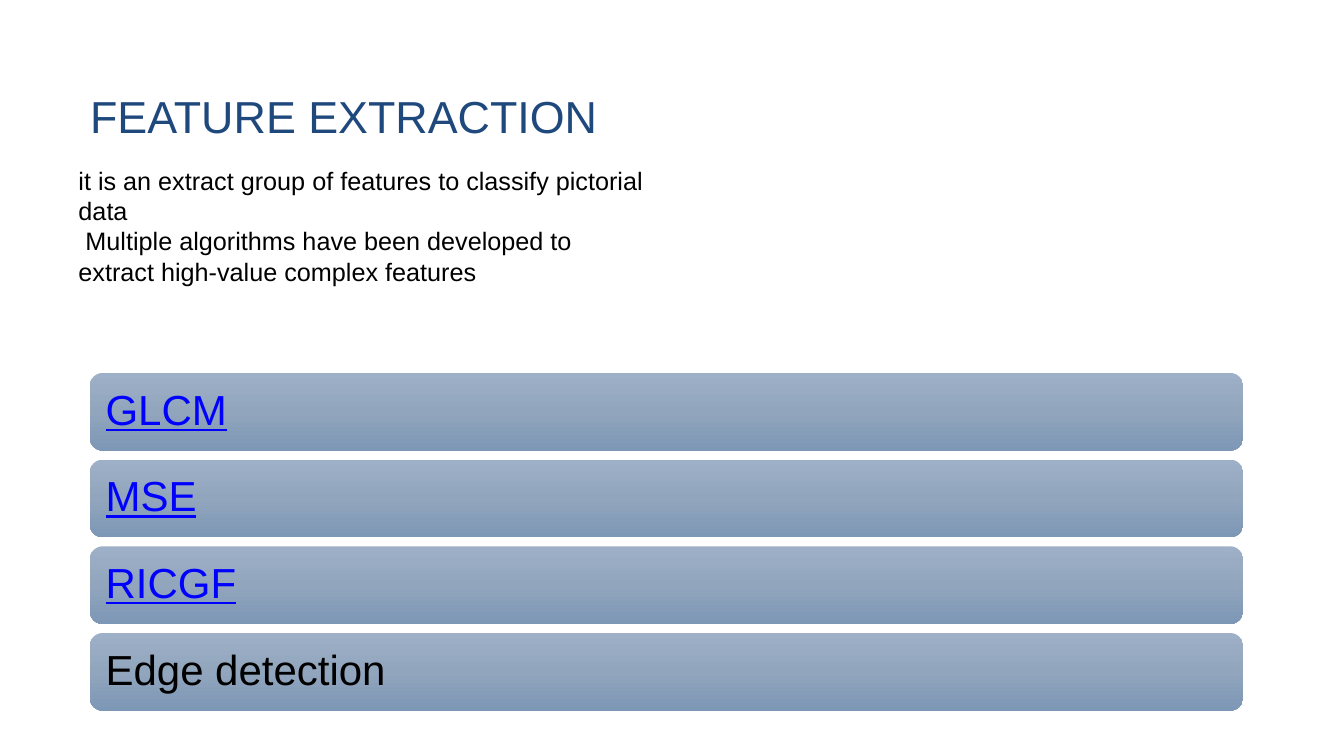
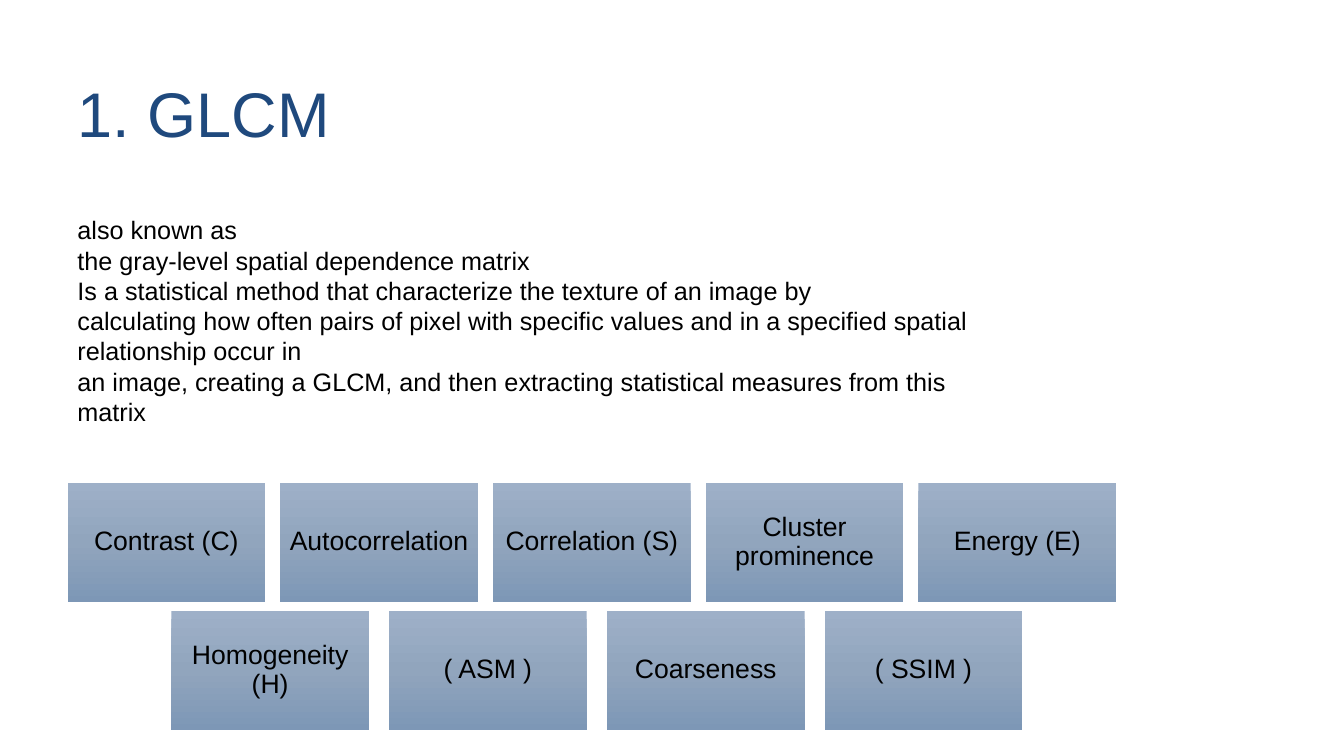
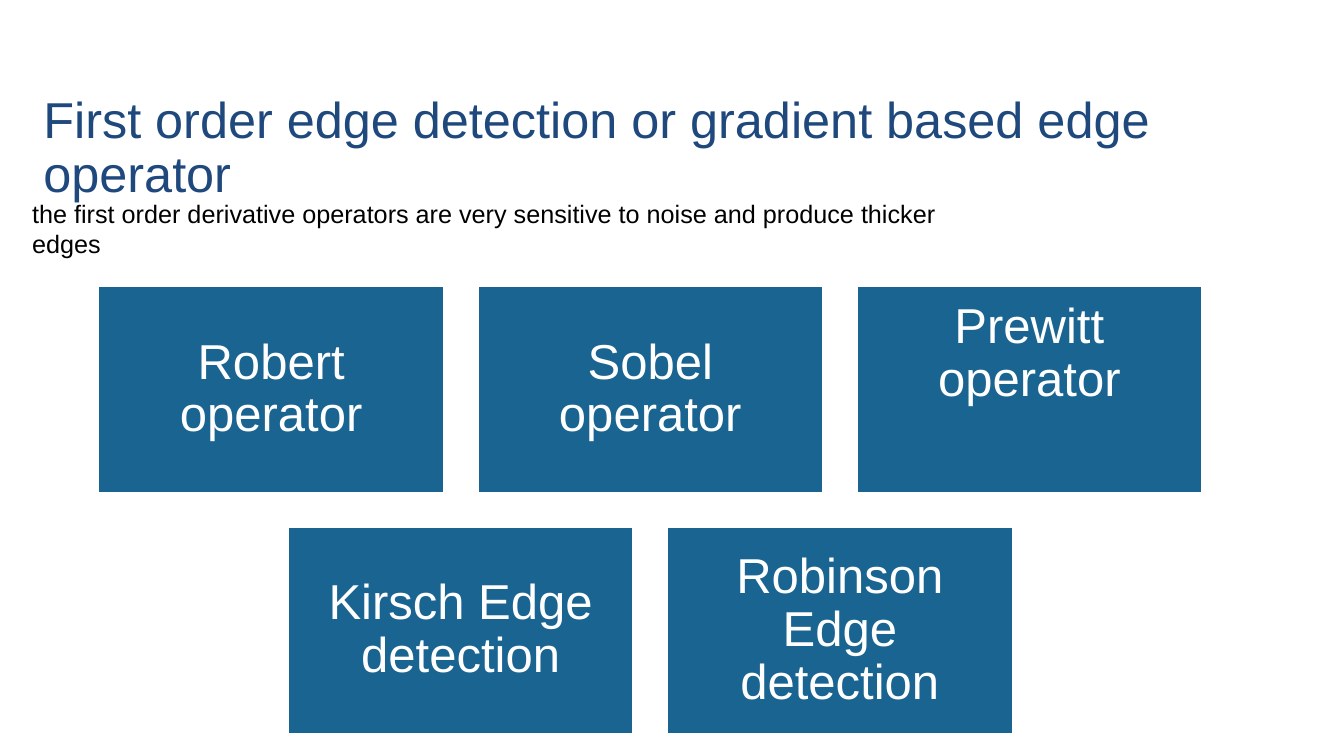
from copy import deepcopy

from pptx import Presentation
from pptx.dml.color import RGBColor
from pptx.enum.shapes import MSO_SHAPE
from pptx.enum.text import MSO_ANCHOR, MSO_AUTO_SIZE, PP_ALIGN
from pptx.oxml.ns import qn
from pptx.util import Inches, Pt

FONT = "Arial"
NAVY = RGBColor(0x1F, 0x49, 0x7D)
BLACK = RGBColor(0, 0, 0)
WHITE = RGBColor(0xFF, 0xFF, 0xFF)
LINK_BLUE = RGBColor(0, 0, 0xFF)
TEAL = RGBColor(0x19, 0x64, 0x91)
STEEL_GRADIENT = [
    (0, RGBColor(0x9E, 0xB0, 0xC8)),
    (0.5, RGBColor(0x91, 0xA5, 0xBD)),
    (1, RGBColor(0x7D, 0x97, 0xB6)),
]


def set_attributes(target, values):
    for name, value in values.items():
        setattr(target, name, value)


def write(tf, paragraphs, size, color, align=PP_ALIGN.LEFT, spacing=1.0,
          anchor=MSO_ANCHOR.TOP, insets=(0.1, 0.05, 0.1, 0.05), underline=False):
    left, top, right, bottom = map(Inches, insets)
    set_attributes(tf, {
        "word_wrap": True, "auto_size": MSO_AUTO_SIZE.NONE, "vertical_anchor": anchor,
        "margin_left": left, "margin_top": top,
        "margin_right": right, "margin_bottom": bottom,
    })
    for i, text in enumerate(paragraphs):
        p = tf.add_paragraph() if i else tf.paragraphs[0]
        set_attributes(p, {"alignment": align, "line_spacing": spacing})
        r = p.add_run()
        r.text = text
        set_attributes(r.font, {"name": FONT, "size": Pt(size), "underline": underline})
        r.font.color.rgb = color


def add_titled_slide(prs, title, at, size, anchor=MSO_ANCHOR.BOTTOM):
    s = prs.slides.add_slide(prs.slide_layouts[5])
    sp = s.shapes.title
    set_attributes(sp, dict(zip(("left", "top", "width", "height"), map(Inches, at))))
    write(sp.text_frame, [title], size, NAVY, spacing=0.9, anchor=anchor,
          insets=(0.1, 0.05, 0.1, 0))
    return s


def add_body(s, at, paragraphs):
    write(s.shapes.add_textbox(*map(Inches, at)).text_frame, paragraphs, 18, BLACK)


def fill_steel(sp):
    sp.fill.gradient()
    sp.fill.gradient_angle = 270
    stop_list = sp._element.spPr.find(qn("a:gradFill")).find(qn("a:gsLst"))
    stop_list.append(deepcopy(stop_list[0]))
    for stop, (position, color) in zip(sp.fill.gradient_stops, STEEL_GRADIENT):
        stop.position = position
        stop.color.rgb = color
    sp.line.fill.background()


def fill_teal(sp):
    sp.fill.solid()
    sp.fill.fore_color.rgb = TEAL
    sp.line.color.rgb = WHITE
    sp.line.width = Pt(1)


def add_card(s, kind, at, text, size, color, paint, inset,
             align=PP_ALIGN.CENTER, anchor=MSO_ANCHOR.MIDDLE, underline=False):
    sp = s.shapes.add_shape(kind, *map(Inches, at))
    sp.shadow.inherit = False
    paint(sp)
    write(sp.text_frame, [text], size, color, align, 0.9, anchor, (inset,) * 4, underline)


def add_card_row(s, labels, left, top, pitch, size, top_anchored=(), **style):
    for i, label in enumerate(labels):
        anchor = MSO_ANCHOR.TOP if label in top_anchored else MSO_ANCHOR.MIDDLE
        add_card(s, MSO_SHAPE.RECTANGLE, (left + i * pitch, top, *size), label,
                 anchor=anchor, **style)


def build_feature_extraction(prs):
    s = add_titled_slide(prs, " FEATURE EXTRACTION", (0.67, 0.77, 6.22, 0.65), 32)
    add_body(s, (0.68, 1.59, 5.89, 1.31), [
        "it is an extract group of features to classify pictorial data",
        " Multiple algorithms have been developed to extract high-value complex features",
    ])
    bars = [("GLCM", True), ("MSE", True), ("RICGF", True), ("Edge detection", False)]
    for i, (label, linked) in enumerate(bars):
        add_card(s, MSO_SHAPE.ROUNDED_RECTANGLE, (0.89, 3.7 + i * 0.86, 11.44, 0.77),
                 label, 30, LINK_BLUE if linked else BLACK, fill_steel, 0.12,
                 align=PP_ALIGN.LEFT, underline=linked)


def build_glcm(prs):
    s = add_titled_slide(prs, "1. GLCM", (0.67, 0.77, 5.89, 0.98), 45, MSO_ANCHOR.TOP)
    add_body(s, (0.67, 2.08, 9.33, 2.22), [
        "also known as",
        "the gray-level spatial dependence matrix",
        "Is a statistical method that characterize the texture of an image by",
        "calculating how often pairs of pixel with specific values and in a specified "
        "spatial relationship occur in",
        "an image, creating a GLCM, and then extracting statistical measures from this matrix",
    ])
    style = {"color": BLACK, "paint": fill_steel, "inset": 0.08}
    rows = [
        (0.67, 4.79, 2.11, ["Contrast (C)", "Autocorrelation", "Correlation (S)",
                            "Cluster prominence", "Energy (E)"]),
        (1.7, 6.06, 2.16, ["Homogeneity (H)", "( ASM )", "Coarseness", "( SSIM )"]),
    ]
    add_rows(s, rows, (1.96, 1.18), 19, style)


def add_rows(s, rows, card_size, font_size, style, top_anchored=()):
    for left, top, pitch, labels in rows:
        for i, label in enumerate(labels):
            anchor = MSO_ANCHOR.TOP if label in top_anchored else MSO_ANCHOR.MIDDLE
            add_card(s, MSO_SHAPE.RECTANGLE, (left + i * pitch, top, *card_size),
                     label, font_size, anchor=anchor, **style)


def build_edge_operators(prs):
    s = add_titled_slide(prs, "First order edge detection or gradient based edge operator",
                         (0.33, 0.58, 12.11, 1.44), 36)
    add_body(s, (0.22, 1.92, 9.89, 0.71), [
        "the first order derivative operators are very sensitive to noise and produce "
        "thicker edges",
    ])
    style = {"color": WHITE, "paint": fill_teal, "inset": 0.15}
    rows = [
        (0.98, 2.84, 3.76, ["Robert operator", "Sobel operator", "Prewitt operator"]),
        (2.86, 5.23, 3.76, ["Kirsch Edge detection", "Robinson Edge detection"]),
    ]
    add_rows(s, rows, (3.42, 2.05), 35, style, top_anchored=("Prewitt operator",))


def main():
    prs = Presentation()
    prs.slide_width, prs.slide_height = Inches(13.33), Inches(7.5)
    build_feature_extraction(prs)
    build_glcm(prs)
    build_edge_operators(prs)
    prs.save("out.pptx")


if __name__ == "__main__":
    main()
